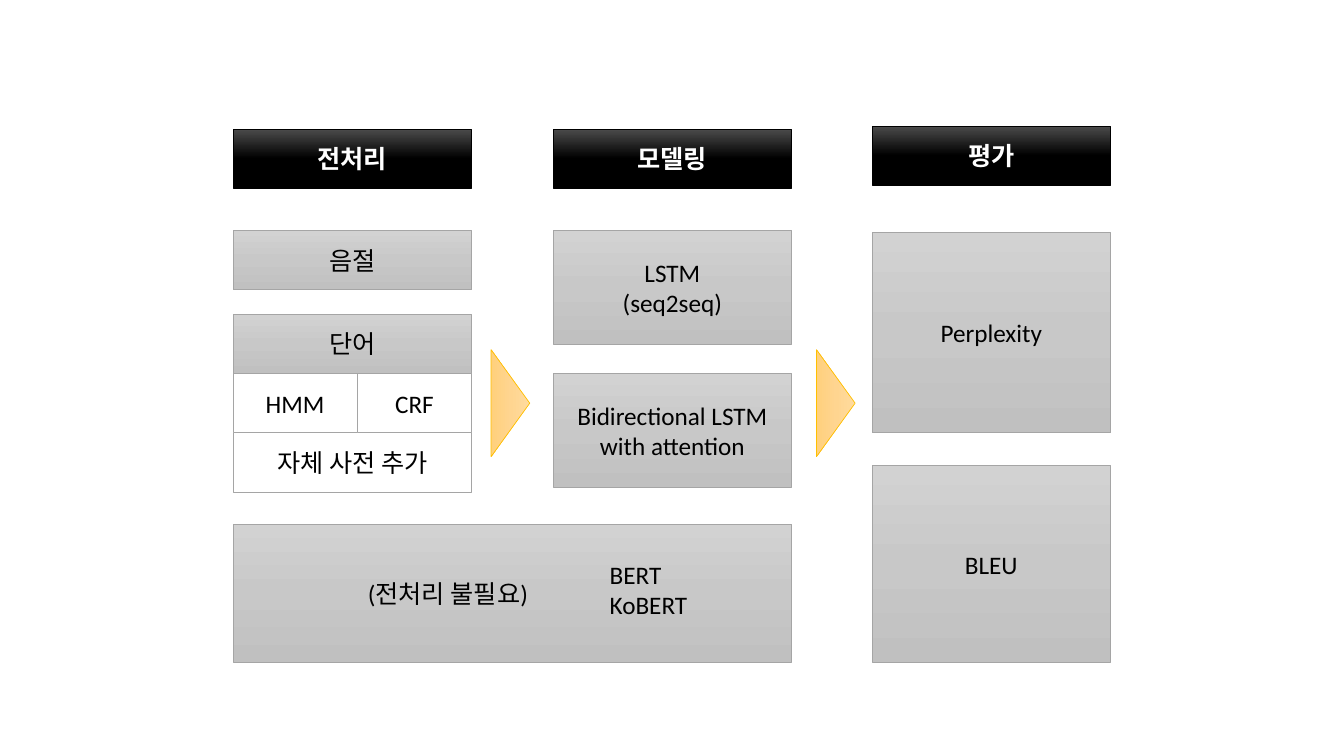
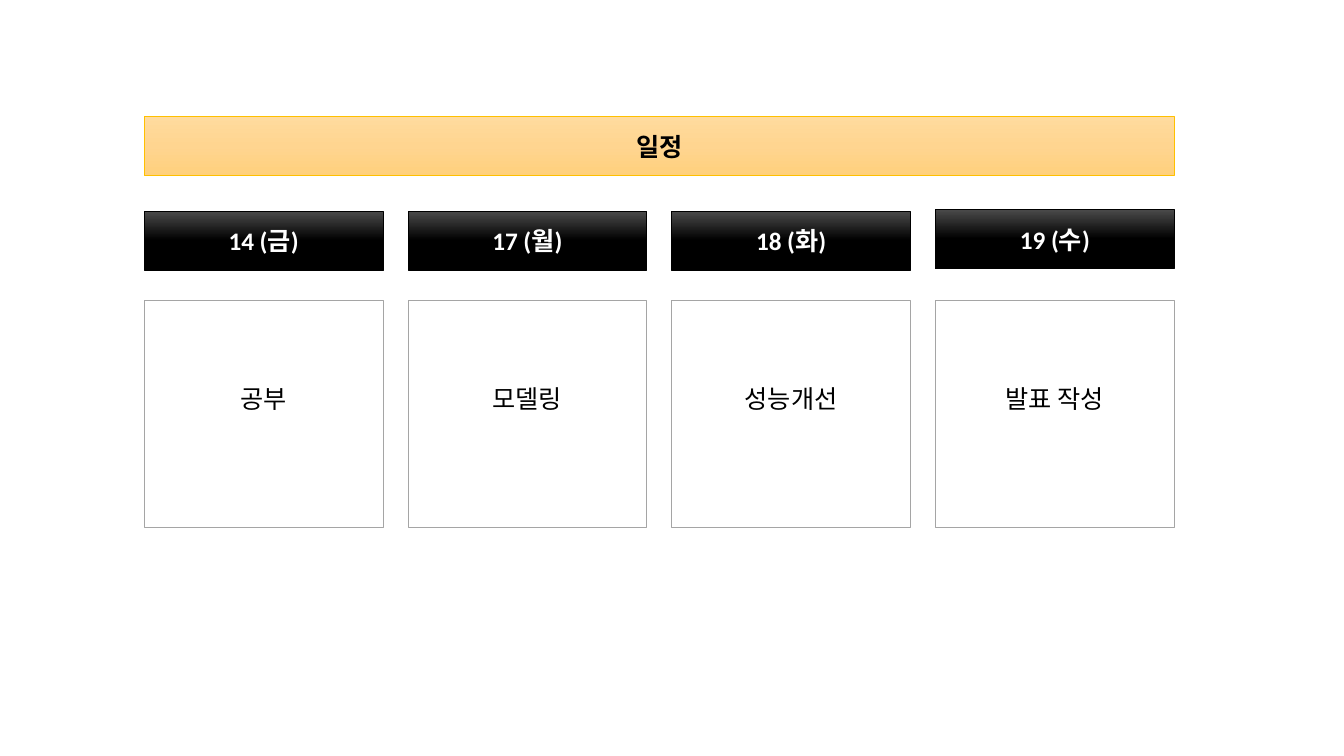
from copy import deepcopy
from pptx import Presentation
from pptx.dml.color import RGBColor
from pptx.enum.shapes import MSO_SHAPE as SHAPE
from pptx.enum.text import MSO_ANCHOR as ANCHOR, PP_ALIGN as ALIGN
from pptx.oxml.ns import qn
from pptx.util import Pt

# Shared style
FONT, SIZE = "Calibri", 18
BLACK = RGBColor(0x00, 0x00, 0x00)
WHITE = RGBColor(0xFF, 0xFF, 0xFF)
GRAY = RGBColor(0xA5, 0xA5, 0xA5)
GOLD = RGBColor(0xFF, 0xC0, 0x00)
GRAY_STOPS = (RGBColor(0xD2, 0xD2, 0xD2), RGBColor(0xC8, 0xC8, 0xC8), RGBColor(0xC0, 0xC0, 0xC0))
DARK_STOPS = (RGBColor(0x4B, 0x4B, 0x4B), BLACK, BLACK)
GOLD_STOPS = (RGBColor(0xFF, 0xDB, 0x9E), RGBColor(0xFF, 0xD5, 0x90), RGBColor(0xFF, 0xD0, 0x7C))

# style: fill stops, line, text colour, bold
STYLES = {
    "head": (DARK_STOPS, BLACK, WHITE, True),
    "gray": (GRAY_STOPS, GRAY, BLACK, False),
    "plain": ((WHITE,), GRAY, BLACK, False),
    "gold": (GOLD_STOPS, GOLD, BLACK, True),
}
BOX_W, BAR_H = 170.6, 42.4
INSET = 7.2

# Slide 1 content: columns, then boxes as (lines, style, top, height)
PREP_X, MODEL_X, EVAL_X = 166.4, 395, 622.8
WORD_Y = 224.4
PIPELINE = [
    (PREP_X, [
        (["전처리"], "head", 92.2, BAR_H),
        (["음절"], "gray", 164.6, BAR_H),
        (["단어"], "gray", WORD_Y, BAR_H),
        (["자체 사전 추가"], "plain", WORD_Y + 2 * BAR_H, BAR_H),
    ]),
    (MODEL_X, [
        (["모델링"], "head", 92.2, BAR_H),
        (["LSTM", "(seq2seq)"], "gray", 164.6, 81.4),
        (["Bidirectional LSTM", "with attention"], "gray", 266.6, 81.4),
    ]),
    (EVAL_X, [
        (["평가"], "head", 90, BAR_H),
        (["Perplexity"], "gray", 166, 143),
        (["BLEU"], "gray", 332.4, 140.8),
    ]),
]
TAGGERS = [("HMM", 88.8), ("CRF", BOX_W - 88.8)]
NO_PREP = "(전처리 불필요)"
PRETRAINED = ["BERT", "KoBERT"]
ARROW_CENTERS = [364.6, 597]
ARROW_Y, ARROW_W, ARROW_H = 288, 76.4, 27.6

# Slide 2 content: day, task, header top
SCHEDULE_TITLE = "일정"
SCHEDULE = [
    ("14 (금)", "공부", 150.7),
    ("17 (월)", "모델링", 150.7),
    ("18 (화)", "성능개선", 150.7),
    ("19 (수)", "발표 작성", 149.5),
]
DAY_X, DAY_STEP = 103, 188.4


def write(tf, lines, color=BLACK, bold=False, align=ALIGN.CENTER):
    tf.word_wrap = True
    for i, line in enumerate(lines):
        p = tf.paragraphs[0] if i == 0 else tf.add_paragraph()
        p.alignment = align
        r = p.add_run()
        r.text = line
        r.font.name, r.font.size, r.font.bold = FONT, Pt(SIZE), bold
        r.font.color.rgb = color


def paint(sp, stops):
    if len(stops) == 1:
        sp.fill.solid()
        sp.fill.fore_color.rgb = stops[0]
        return
    sp.fill.gradient()
    sp.fill.gradient_angle = 270
    gs_list = sp._element.spPr.find(".//" + qn("a:gsLst"))
    gs_list.append(deepcopy(gs_list[0]))
    for i, (stop, color) in enumerate(zip(sp.fill.gradient_stops, stops)):
        stop.position = i / 2
        stop.color.rgb = color


def box(s, x, y, w, h, style, lines=(), shape=SHAPE.RECTANGLE):
    stops, line, color, bold = STYLES[style]
    sp = s.shapes.add_shape(shape, Pt(x), Pt(y), Pt(w), Pt(h))
    sp.shadow.inherit = False
    paint(sp, stops)
    sp.line.color.rgb = line
    sp.line.width = Pt(0.5)
    sp.text_frame.vertical_anchor = ANCHOR.MIDDLE
    write(sp.text_frame, lines, color, bold)
    return sp


prs = Presentation()
prs.slide_width, prs.slide_height = Pt(960), Pt(540)
blank = prs.slide_layouts[6]

# Slide 1: pipeline
s = prs.slides.add_slide(blank)
for x, boxes in PIPELINE:
    for lines, style, y, h in boxes:
        box(s, x, y, BOX_W, h, style, lines)

x = PREP_X
for name, w in TAGGERS:
    box(s, x, WORD_Y + BAR_H, w, BAR_H, "plain", [name])
    x += w

sp = box(s, PREP_X, 374.4, MODEL_X + BOX_W - PREP_X, 98.4, "gray", [NO_PREP])
sp.text_frame.margin_right = Pt(INSET + 92)
tb = s.shapes.add_textbox(Pt(428.4), Pt(396), Pt(113), Pt(56))
write(tb.text_frame, PRETRAINED, align=ALIGN.LEFT)

for cx in ARROW_CENTERS:
    arrow = box(s, cx - ARROW_W / 2, ARROW_Y - ARROW_H / 2, ARROW_W, ARROW_H,
                "gold", shape=SHAPE.ISOSCELES_TRIANGLE)
    arrow.rotation = 90

# Slide 2: schedule
s = prs.slides.add_slide(blank)
title_w = DAY_STEP * (len(SCHEDULE) - 1) + BOX_W
box(s, DAY_X, 83.2, title_w, BAR_H, "gold", [SCHEDULE_TITLE])
for i, (day, task, y) in enumerate(SCHEDULE):
    x = DAY_X + i * DAY_STEP
    box(s, x, y, BOX_W, BAR_H, "head", [day])
    sp = box(s, x, 214.6, BOX_W, 162, "plain", [task])
    sp.text_frame.margin_bottom = Pt(25.6)

prs.save("out.pptx")
